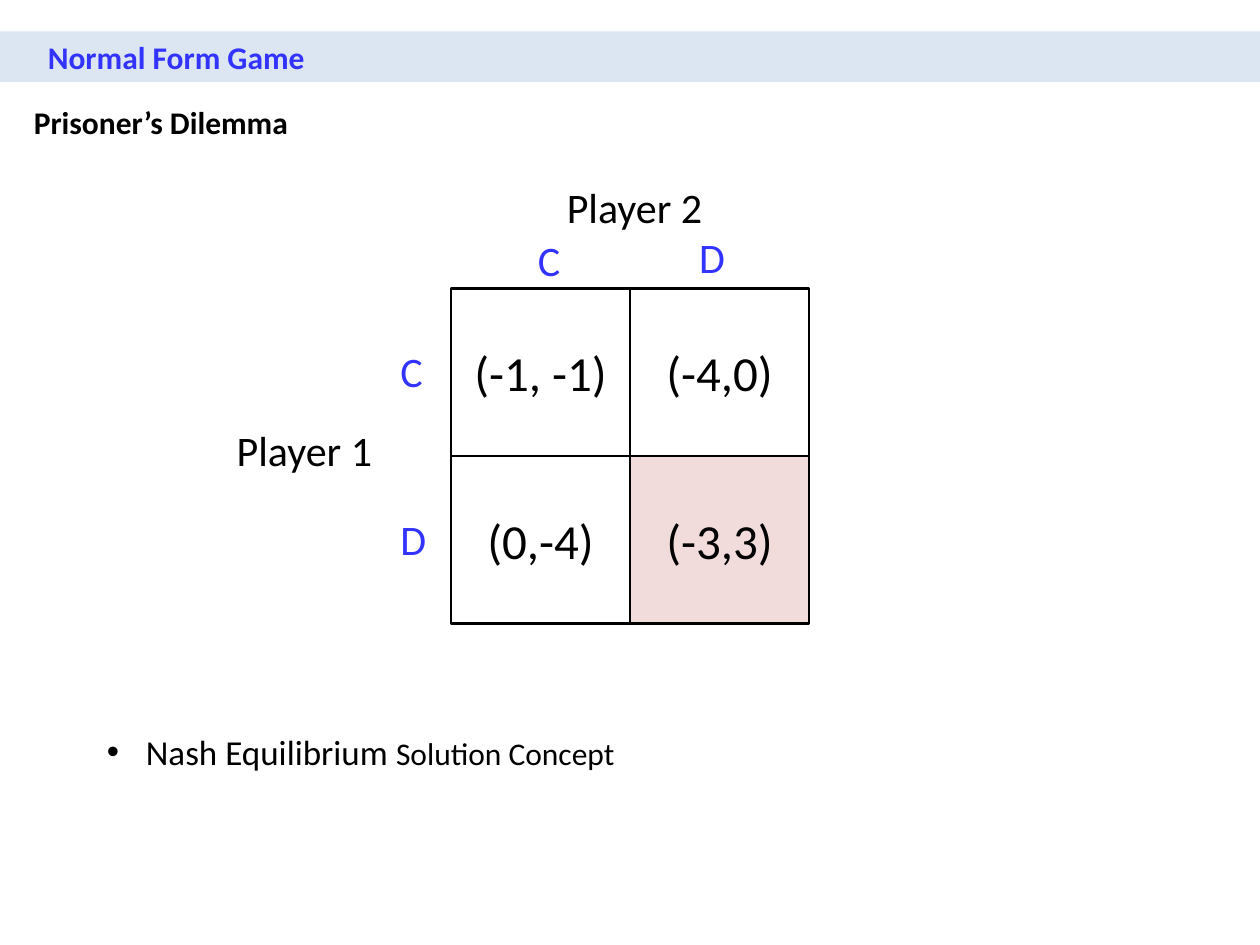
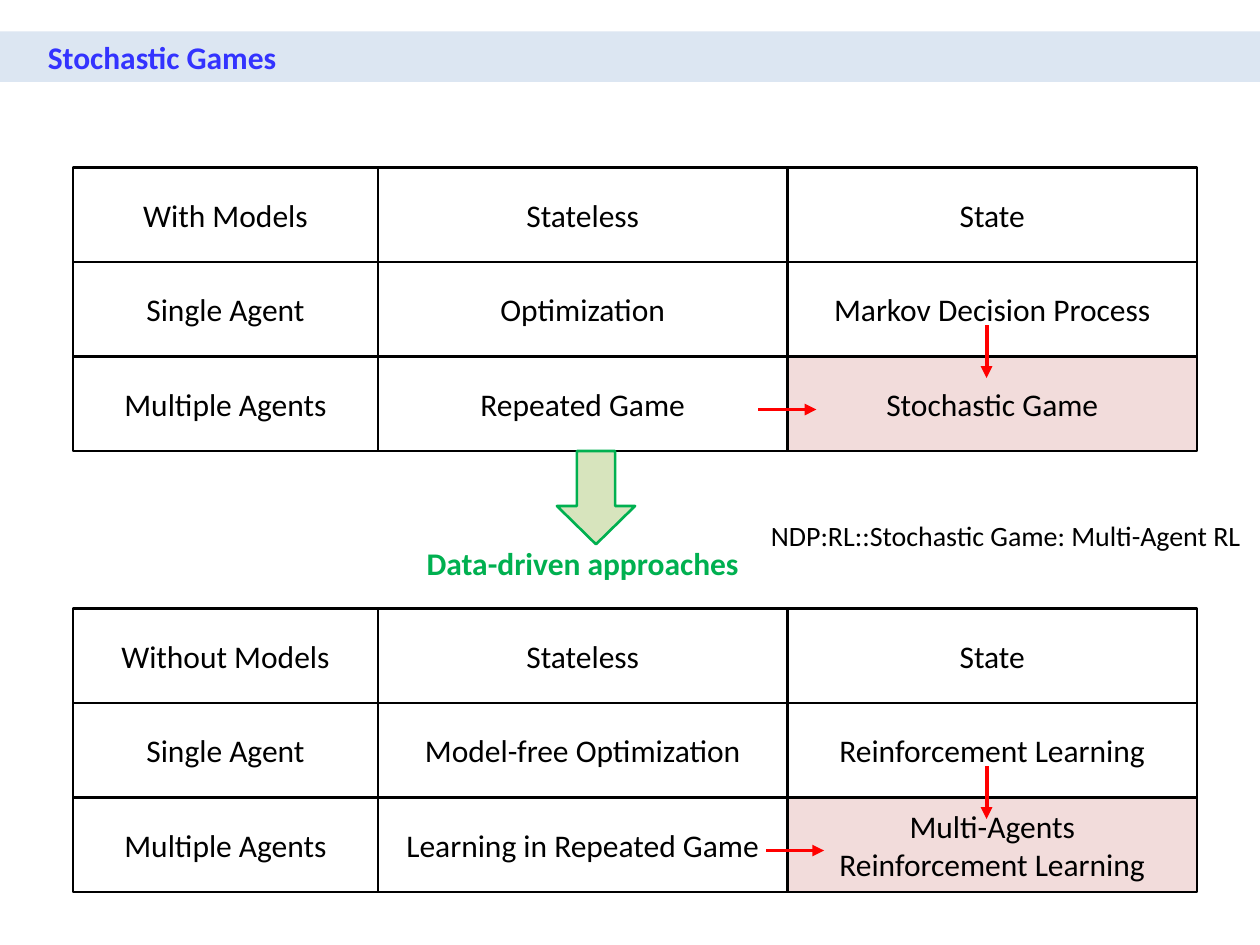
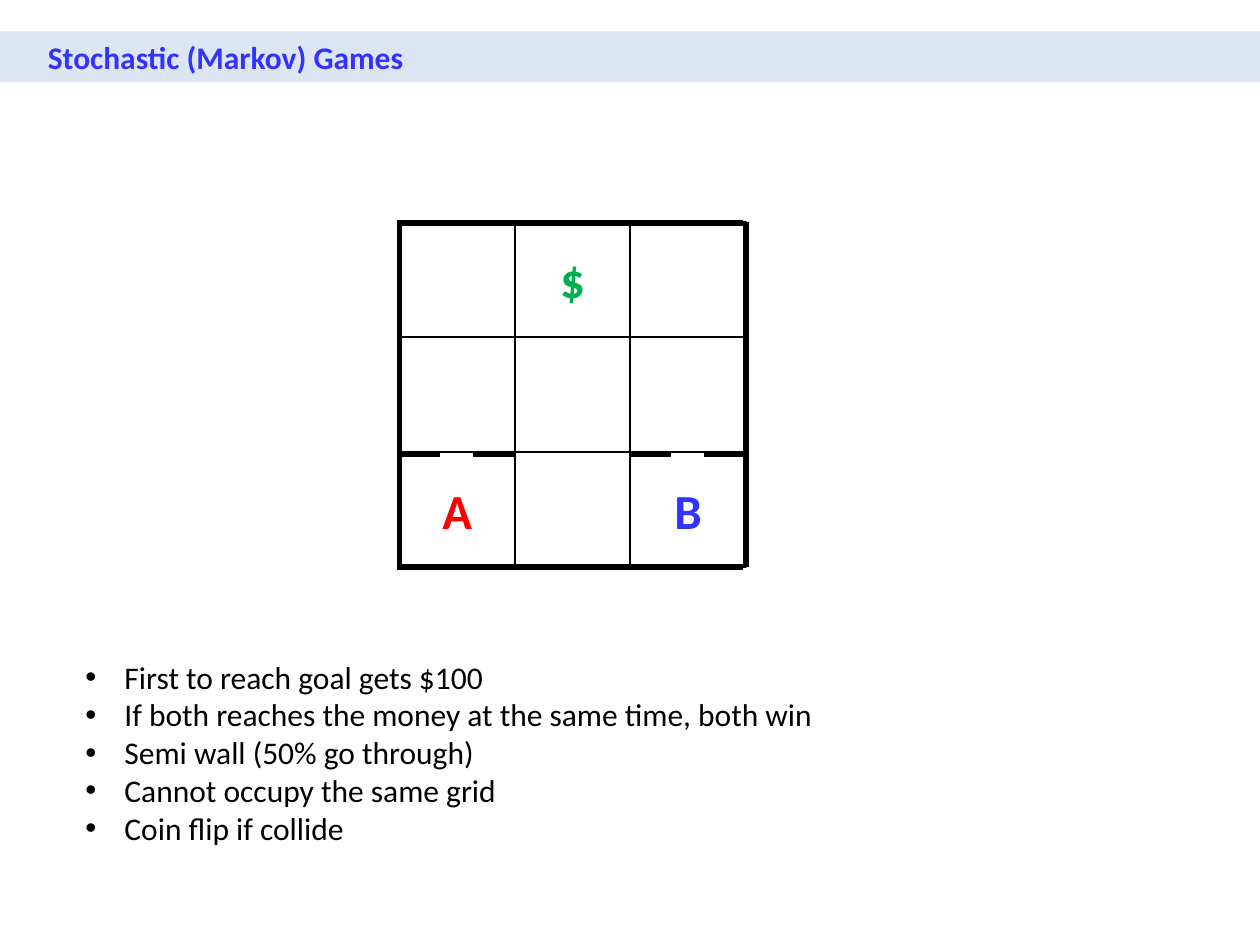
from pptx import Presentation
from pptx import util as u
from pptx.dml.color import RGBColor
from pptx.enum import shapes, text
from pptx.oxml.ns import qn
from lxml import etree

In = u.Inches


class Theme:
    font = "Calibri"
    black, white = "000000", "FFFFFF"
    blue, red, green = "3333FF", "FF0000", "00B050"
    band, pink, pale_green = "DCE6F2", "F2DCDB", "D7E4BD"
    note, body, lead, label, big = 16, 18, 20, 24, 28
    thin, edge, arrow, wall = 1, 1.5, 2.25, 3


T = Theme


def rgb(hex_code):
    return RGBColor.from_string(hex_code)


def style(p, size=T.body, color=T.black, bold=False, align=None):
    f = p.font
    f.name, f.size, f.bold = T.font, u.Pt(size), bold
    f.color.rgb = rgb(color)
    p.alignment = align


def add_rect(s, x, y, w, h, fill=None, line=None, width=T.edge,
             kind=shapes.MSO_SHAPE.RECTANGLE):
    sp = s.shapes.add_shape(kind, In(x), In(y), In(w), In(h))
    sp.shadow.inherit = False
    if fill:
        sp.fill.solid()
        sp.fill.fore_color.rgb = rgb(fill)
    else:
        sp.fill.background()
    if line:
        sp.line.color.rgb = rgb(line)
        sp.line.width = u.Pt(width)
    else:
        sp.line.fill.background()
    return sp


def add_text(s, x, y, w, h, words, wrap=True, **look):
    tf = s.shapes.add_textbox(In(x), In(y), In(w), In(h)).text_frame
    tf.word_wrap = wrap
    tf.text = words
    for p in tf.paragraphs:
        style(p, **look)
    return tf


def add_line(s, x1, y1, x2, y2, color=T.black, width=T.wall, arrow=False):
    cx = s.shapes.add_connector(shapes.MSO_CONNECTOR.STRAIGHT,
                                In(x1), In(y1), In(x2), In(y2))
    cx.line.color.rgb = rgb(color)
    cx.line.width = u.Pt(width)
    if arrow:
        etree.SubElement(cx.line._get_or_add_ln(), qn("a:tailEnd"), type="triangle")
    etree.SubElement(cx._element.spPr, qn("a:effectLst"))


def add_bullets(tf):
    for p in tf.paragraphs:
        pPr = p._p.get_or_add_pPr()
        pPr.set("marL", str(In(0.31)))
        pPr.set("indent", str(-In(0.31)))
        # The bullet goes ahead of the paragraph's default run properties
        font = etree.Element(qn("a:buFont"), typeface="Arial")
        mark = etree.Element(qn("a:buChar"), char="•")
        pPr.insert(0, font)
        pPr.insert(1, mark)


def add_cells(s, x, y, widths, row_h, rows, fill=None, fills=None, colors=None,
              width=T.edge, **look):
    """Grid of boxes; fills and colors override single cells by (row, column)."""
    for i, row in enumerate(rows):
        for j, words in enumerate(row):
            sp = add_rect(s, x + sum(widths[:j]), y + i * row_h, widths[j], row_h,
                          (fills or {}).get((i, j), fill), T.black, width)
            if not words:
                continue
            tf = sp.text_frame
            tf.text = words
            tf.vertical_anchor = text.MSO_ANCHOR.MIDDLE
            for p in tf.paragraphs:
                style(p, color=(colors or {}).get((i, j), T.black),
                      align=text.PP_ALIGN.CENTER, **look)


def new_slide(prs, title):
    s = prs.slides.add_slide(prs.slide_layouts[6])
    tf = add_rect(s, 0, 0.25, 10, 0.4, T.band).text_frame
    tf.margin_left = In(0.38)
    tf.vertical_anchor = text.MSO_ANCHOR.TOP
    tf.text = title
    style(tf.paragraphs[0], color=T.blue, bold=True, align=text.PP_ALIGN.LEFT)
    return s


def payoff_matrix(s, x, y):
    w, h = 1.42, 1.33
    add_cells(s, x, y, [w, w], h, [["(-1, -1)", "(-4,0)"], ["(0,-4)", "(-3,3)"]],
              fill=T.white, fills={(1, 1): T.pink}, size=T.big)
    # Players and their moves
    for words, dx, dy in [("Player 1", -1.8, 1.03), ("Player 2", 0.82, -0.9)]:
        add_text(s, x + dx, y + dy, 1.36, 0.5, words, size=T.label)
    for words, dx, dy in [("C", -0.5, 0.4), ("D", -0.5, 1.74),
                          ("C", 0.59, -0.48), ("D", 1.87, -0.5)]:
        add_text(s, x + dx, y + dy, 0.54, 0.5, words, size=T.label, color=T.blue)


def agent_table(s, x, y, rows, arrow_x):
    add_cells(s, x, y, [2.42, 3.25, 3.25], 0.75, rows, fills={(2, 2): T.pink})
    # Arrows into the highlighted cell
    for ends in [(7.25, 1.25, 7.25, 1.67), (arrow_x, 1.92, arrow_x + 0.46, 1.92)]:
        x1, y1, x2, y2 = ends
        add_line(s, x + x1, y + y1, x + x2, y + y2, T.red, T.arrow, arrow=True)


def board(s, x, y, w, h):
    cell_w, cell_h = w / 3, h / 3
    add_cells(s, x, y, [cell_w] * 3, cell_h,
              [["", "$", ""], ["", "", ""], ["A", "", "B"]], fill=T.white,
              colors={(0, 1): T.green, (2, 0): T.red, (2, 2): T.blue},
              width=T.thin, size=T.big, bold=True)
    # Outer walls
    for wall_x in (x, x + w):
        add_line(s, wall_x, y, wall_x, y + h)
    for wall_y in (y + 0.01, y + h):
        add_line(s, x - 0.02, wall_y, x + w - 0.02, wall_y)
    # Semi walls above A and B
    wall_y = y + 2 * cell_h + 0.02
    for left in (x, x + 2 * cell_w):
        for start in (0, cell_w - 0.33):
            add_line(s, left + start, wall_y, left + start + 0.32, wall_y)


def normal_form_slide(prs):
    s = new_slide(prs, "Normal Form Game")
    add_text(s, 0.17, 0.77, 5.58, 0.4, "Prisoner’s Dilemma", bold=True)
    payoff_matrix(s, 3.58, 2.29)
    tf = add_text(s, 0.75, 5.75, 5.24, 0.44, "Nash Equilibrium ", size=T.lead)
    r = tf.paragraphs[0].add_run()
    r.text = "Solution Concept"
    r.font.size = u.Pt(T.body)
    add_bullets(tf)


def stochastic_slide(prs):
    s = new_slide(prs, "Stochastic Games")
    agent_table(s, 0.58, 1.33, [
        ["With Models", "Stateless", "State"],
        ["Single Agent", "Optimization", "Markov Decision Process"],
        ["Multiple Agents", "Repeated Game", "Stochastic Game"]], 5.44)
    agent_table(s, 0.58, 4.83, [
        ["Without Models", "Stateless", "State"],
        ["Single Agent", "Model-free Optimization", "Reinforcement Learning"],
        ["Multiple Agents", "Learning in Repeated Game",
         "Multi-Agents\nReinforcement Learning"]], 5.5)
    # Step from models to data
    sp = add_rect(s, 4.42, 3.58, 0.62, 0.74, T.pale_green, T.green,
                  kind=shapes.MSO_SHAPE.DOWN_ARROW)
    sp.adjustments[0], sp.adjustments[1] = 0.49, 0.49
    add_text(s, 3, 4.27, 3.25, 0.4, "Data-driven approaches", color=T.green,
             bold=True, align=text.PP_ALIGN.CENTER)
    add_text(s, 6.02, 4.07, 3.98, 0.37, "NDP:RL::Stochastic Game: Multi-Agent RL",
             wrap=False, size=T.note)


def markov_slide(prs):
    s = new_slide(prs, "Stochastic (Markov) Games")
    board(s, 3.17, 1.76, 2.75, 2.74)
    rules = ["First to reach goal gets $100",
             "If both reaches the money at the same time, both win",
             "Semi wall (50% go through)",
             "Cannot occupy the same grid",
             "Coin flip if collide"]
    add_bullets(add_text(s, 0.58, 5.17, 9, 1.62, "\n".join(rules)))


def main():
    prs = Presentation()
    prs.slide_width, prs.slide_height = In(10), In(7.5)
    normal_form_slide(prs)
    stochastic_slide(prs)
    markov_slide(prs)
    prs.save("out.pptx")


if __name__ == "__main__":
    main()
